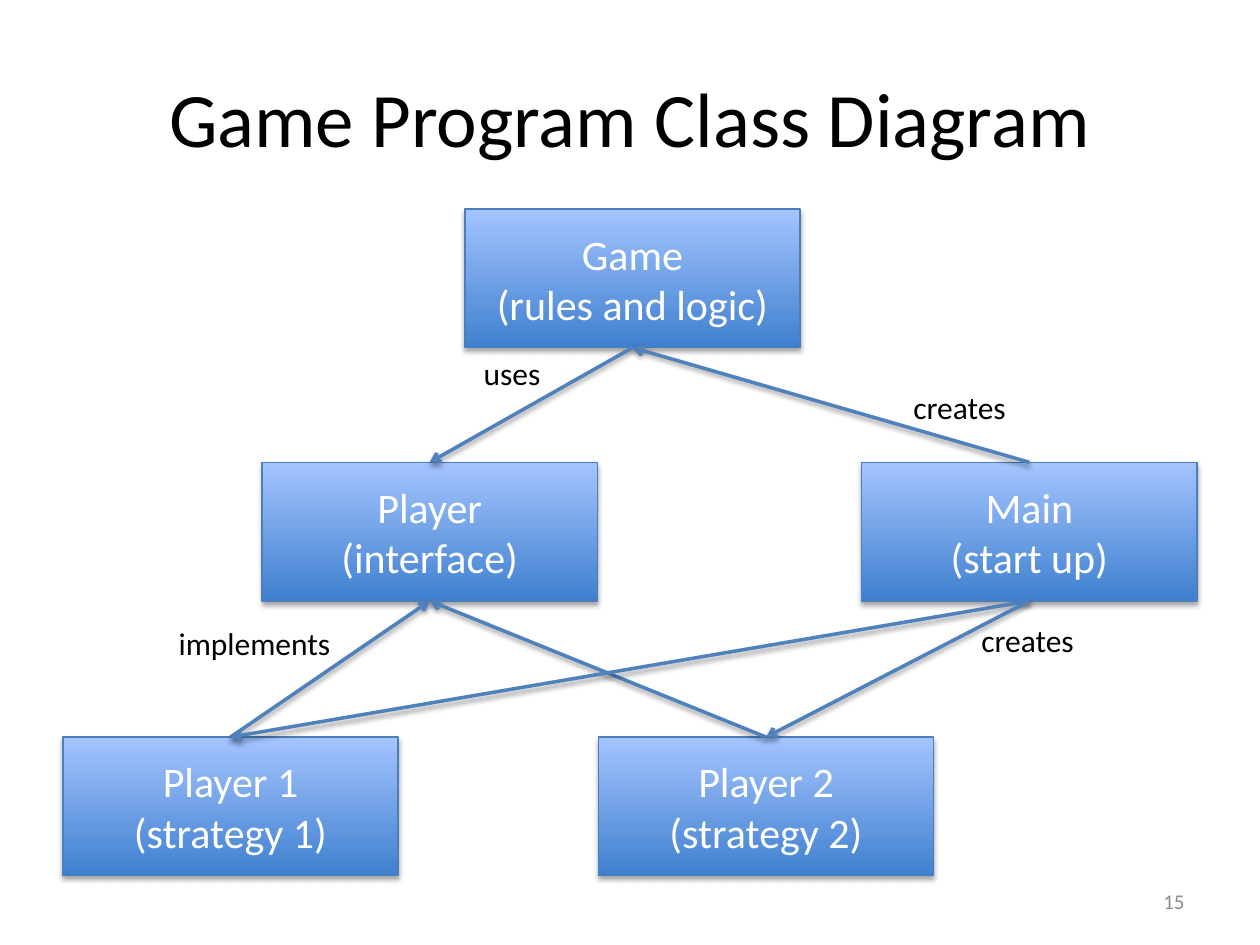
from lxml.etree import SubElement
from pptx import Presentation
from pptx.dml.color import RGBColor
from pptx.enum.shapes import MSO_CONNECTOR, MSO_SHAPE
from pptx.enum.text import MSO_ANCHOR, MSO_AUTO_SIZE, PP_ALIGN
from pptx.oxml.ns import qn
from pptx.util import Pt

BLACK = RGBColor(0x00, 0x00, 0x00)
WHITE = RGBColor(0xFF, 0xFF, 0xFF)
GRAY = RGBColor(0x8C, 0x8C, 0x8C)
BOX_DARK = RGBColor(0x3F, 0x80, 0xCE)
BOX_LIGHT = RGBColor(0xA4, 0xC4, 0xFF)
BOX_LINE = RGBColor(0x4B, 0x7E, 0xBC)
ARROW = RGBColor(0x4F, 0x81, 0xBD)

FONT = "Calibri"
BOX_W, BOX_H = 191.5, 79.2
TOP_ROW, MIDDLE_ROW, BOTTOM_ROW = 119.5, 264.2, 421.2
TOP, BOTTOM = 0, 2  # connection sites of a box

BOXES = {
    "player": (149.8, MIDDLE_ROW, "Player\n(interface)"),
    "player1": (36, BOTTOM_ROW, "Player 1\n(strategy 1)"),
    "player2": (342, BOTTOM_ROW, "Player 2\n(strategy 2)"),
    "main": (492.5, MIDDLE_ROW, "Main\n(start up)"),
    "game": (265.7, TOP_ROW, "Game\n(rules and logic)"),
}
ARROWS = [
    ("player1", TOP, "player", BOTTOM),
    ("player2", TOP, "player", BOTTOM),
    ("main", TOP, "game", BOTTOM),
    ("main", BOTTOM, "player1", TOP),
    ("main", BOTTOM, "player2", TOP),
    ("game", BOTTOM, "player", TOP),
]
LABELS = [
    (553.7, 351.4, 68.4, "creates"),
    (514.8, 218.2, 68.4, "creates"),
    (95, 352.8, 102.2, "implements"),
    (269.3, 198.7, 47.5, "uses"),
]


def write(tf, text, size, color, align):
    """Fill a text frame with evenly formatted paragraphs."""
    tf.text = text
    for p in tf.paragraphs:
        p.alignment = align
        p.font.name = FONT
        p.font.size = Pt(size)
        p.font.color.rgb = color


def add_shadow(sp, distance, opacity):
    """Give a shape or connector a soft shadow falling downwards."""
    effects = SubElement(sp._element.spPr, qn("a:effectLst"))
    shadow = SubElement(effects, qn("a:outerShdw"), blurRad=str(Pt(3.1)),
                        dist=str(Pt(distance)), dir="5400000", rotWithShape="0")
    color = SubElement(shadow, qn("a:srgbClr"), val=str(BLACK))
    SubElement(color, qn("a:alpha"), val=str(opacity * 1000))


def add_title(s, text):
    """Place the slide title."""
    sp = s.shapes.title
    sp.left, sp.top, sp.width, sp.height = Pt(36), Pt(21.6), Pt(648), Pt(90)
    sp.text_frame.vertical_anchor = MSO_ANCHOR.MIDDLE
    write(sp.text_frame, text, 44, BLACK, PP_ALIGN.CENTER)


def add_box(s, left, top, text):
    """Add a class box with a vertical gradient."""
    sp = s.shapes.add_shape(MSO_SHAPE.FLOWCHART_PROCESS, Pt(left), Pt(top),
                            Pt(BOX_W), Pt(BOX_H))
    sp.fill.gradient()
    sp.fill.gradient_angle = 90
    for stop, color in zip(sp.fill.gradient_stops, (BOX_DARK, BOX_LIGHT)):
        stop.color.rgb = color
    sp.line.color.rgb = BOX_LINE
    sp.line.width = Pt(0.75)
    add_shadow(sp, 1.8, 35)
    sp.text_frame.vertical_anchor = MSO_ANCHOR.MIDDLE
    write(sp.text_frame, text, 24, WHITE, PP_ALIGN.CENTER)
    return sp


def add_arrow(s, start, start_site, end, end_site):
    """Connect two boxes with an open arrowhead at the end."""
    line = s.shapes.add_connector(MSO_CONNECTOR.STRAIGHT, 0, 0, 0, 0)
    line.begin_connect(start, start_site)
    line.end_connect(end, end_site)
    line.line.color.rgb = ARROW
    line.line.width = Pt(2)
    SubElement(line.line._get_or_add_ln(), qn("a:tailEnd"), type="arrow")
    add_shadow(line, 1.6, 38)


def add_label(s, left, top, width, text):
    """Add a relationship name."""
    tf = s.shapes.add_textbox(Pt(left), Pt(top), Pt(width), Pt(29)).text_frame
    tf.word_wrap = False
    tf.auto_size = MSO_AUTO_SIZE.SHAPE_TO_FIT_TEXT
    write(tf, text, 18, BLACK, PP_ALIGN.LEFT)


def add_slide_number(s, text):
    """Add the slide number at the bottom right."""
    tf = s.shapes.add_textbox(Pt(516), Pt(500.5), Pt(168), Pt(28.75)).text_frame
    tf.word_wrap = True
    tf.vertical_anchor = MSO_ANCHOR.MIDDLE
    write(tf, text, 12, GRAY, PP_ALIGN.RIGHT)


def main():
    """Build the class diagram slide."""
    prs = Presentation()
    prs.slide_width, prs.slide_height = Pt(720), Pt(540)
    s = prs.slides.add_slide(prs.slide_layouts[5])
    add_title(s, "Game Program Class Diagram")
    add_slide_number(s, "15")
    boxes = {name: add_box(s, *box) for name, box in BOXES.items()}
    for start, start_site, end, end_site in ARROWS:
        add_arrow(s, boxes[start], start_site, boxes[end], end_site)
    for label in LABELS:
        add_label(s, *label)
    prs.save("out.pptx")


main()
